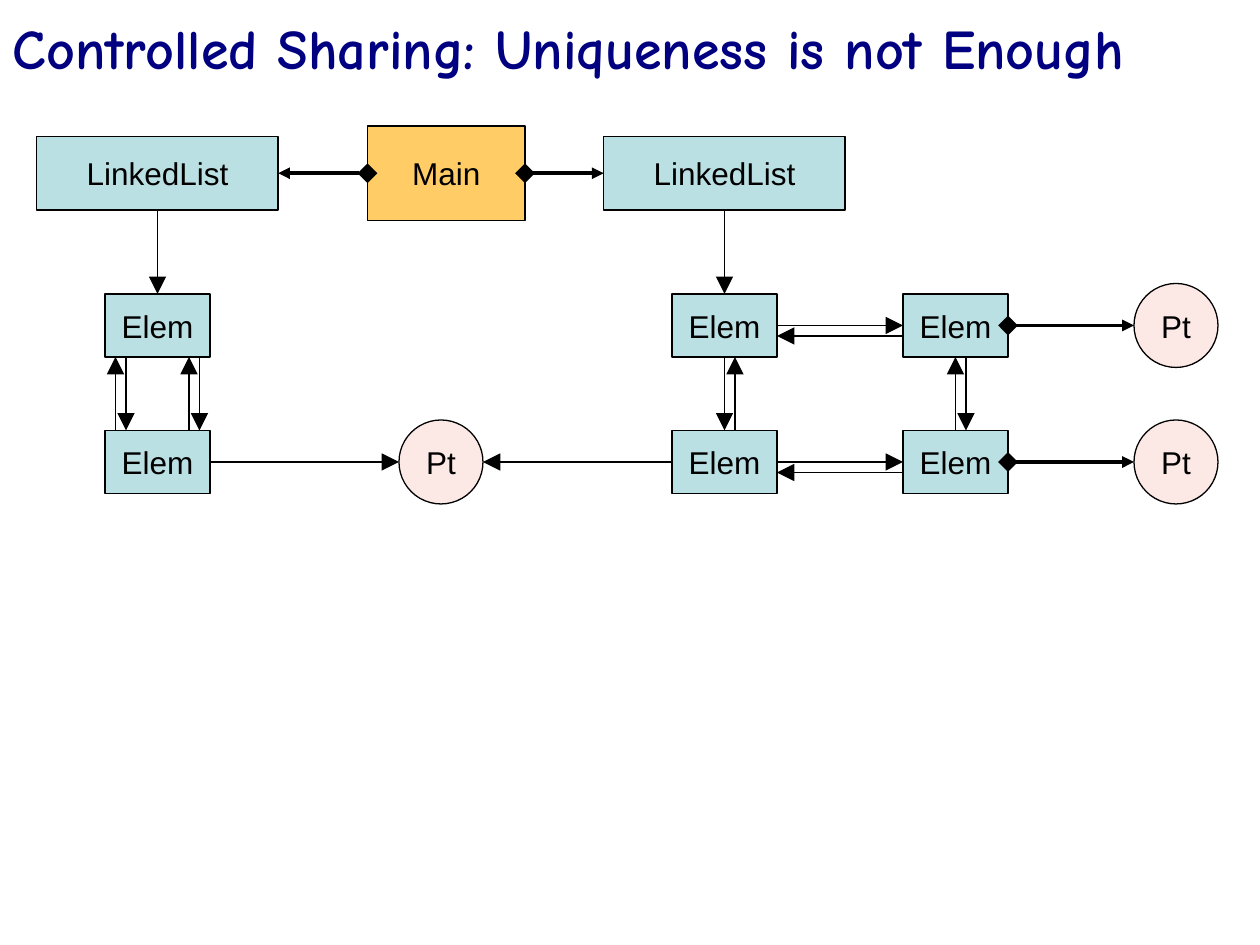
"""Build a slide of object graphs that share a point, on a grid of twelfths of an inch."""
from lxml import etree
from pptx import Presentation
from pptx.dml.color import RGBColor
from pptx.enum.shapes import MSO_CONNECTOR as CONN, MSO_SHAPE as SHAPE
from pptx.enum.text import MSO_ANCHOR as ANCHOR, MSO_AUTO_SIZE as AUTO, PP_ALIGN as ALIGN
from pptx.oxml.ns import qn
from pptx.util import Inches, Pt

COLORS = {"title": "000080", "ink": "000000", "list": "BBE0E3", "main": "FFCC66", "point": "FCE8E4"}
RGB = {name: RGBColor.from_string(value) for name, value in COLORS.items()}
TOP, LEFT, BOTTOM, RIGHT = range(4)
UNIT = Inches(1) // 12

prs = Presentation()
prs.slide_width, prs.slide_height = Inches(10), Inches(7.5)
s = prs.slides.add_slide(prs.slide_layouts[5])

title = s.shapes.title
title.left, title.top, title.width, title.height = Inches(0), Inches(-0.25), Inches(10), Inches(1.25)
tf = title.text_frame
tf.text = "Controlled Sharing: Uniqueness is not Enough"
tf.auto_size, tf.vertical_anchor = AUTO.NONE, ANCHOR.MIDDLE
p = tf.paragraphs[0]
p.alignment = ALIGN.LEFT
p.font.name, p.font.size, p.font.bold = "Comic Neue", Pt(32), True
p.font.color.rgb = RGB["title"]

KINDS = {
    "LinkedList": (SHAPE.RECTANGLE, 23, 7, "list"),
    "Main": (SHAPE.RECTANGLE, 15, 9, "main"),
    "Elem": (SHAPE.RECTANGLE, 10, 6, "list"),
    "Pt": (SHAPE.OVAL, 8, 8, "point"),
}
NODES = {
    "left list": ("LinkedList", 15, 16.5),
    "right list": ("LinkedList", 69, 16.5),
    "main": ("Main", 42.5, 16.5),
    "left upper": ("Elem", 15, 31),
    "left lower": ("Elem", 15, 44),
    "mid upper": ("Elem", 69, 31),
    "mid lower": ("Elem", 69, 44),
    "right upper": ("Elem", 91, 31),
    "right lower": ("Elem", 91, 44),
    "shared point": ("Pt", 42, 44),
    "upper point": ("Pt", 112, 31),
    "lower point": ("Pt", 112, 44),
}
nodes = {}
for name, (label, cx, cy) in NODES.items():
    preset, w, h, color = KINDS[label]
    x, y = int((cx - w / 2) * UNIT), int((cy - h / 2) * UNIT)
    sp = s.shapes.add_shape(preset, x, y, w * UNIT, h * UNIT)
    sp.shadow.inherit = False
    sp.fill.solid()
    sp.fill.fore_color.rgb = RGB[color]
    sp.line.color.rgb, sp.line.width = RGB["ink"], Pt(0.75)
    tf = sp.text_frame
    tf.text = label
    tf.word_wrap, tf.vertical_anchor = False, ANCHOR.MIDDLE
    p = tf.paragraphs[0]
    p.alignment = ALIGN.CENTER
    p.font.name, p.font.size = "Arial", Pt(18)
    p.font.color.rgb = RGB["ink"]
    nodes[name] = sp


def side(sp, site):
    """Return the middle of one side of a shape."""
    x, y = sp.left + sp.width // 2, sp.top + sp.height // 2
    return {TOP: (x, sp.top), LEFT: (sp.left, y),
            BOTTOM: (x, sp.top + sp.height), RIGHT: (sp.left + sp.width, y)}[site]


def arrow(start, end, owned=False):
    """Draw an arrow; an owning one is thick and starts with a diamond."""
    line = s.shapes.add_connector(CONN.STRAIGHT, *start, *end)
    line.line.color.rgb, line.line.width = RGB["ink"], Pt(2.25 if owned else 0.75)
    ln = line.line._get_or_add_ln()
    if owned:
        etree.SubElement(ln, qn("a:headEnd"), type="diamond", w="lg", len="lg")
    size = "med" if owned else "lg"
    etree.SubElement(ln, qn("a:tailEnd"), type="triangle", w=size, len=size)
    etree.SubElement(line._element.spPr, qn("a:effectLst"))
    return line


LINKS = [
    ("main", LEFT, "left list", RIGHT, True),
    ("main", RIGHT, "right list", LEFT, True),
    ("left list", BOTTOM, "left upper", TOP, False),
    ("right list", BOTTOM, "mid upper", TOP, False),
    ("mid upper", BOTTOM, "mid lower", TOP, False),
    ("mid upper", RIGHT, "right upper", LEFT, False),
    ("mid lower", RIGHT, "right lower", LEFT, False),
    ("right lower", TOP, "right upper", BOTTOM, False),
    ("left lower", RIGHT, "shared point", LEFT, False),
    ("mid lower", LEFT, "shared point", RIGHT, False),
    ("right upper", RIGHT, "upper point", LEFT, True),
    ("right lower", RIGHT, "lower point", LEFT, True),
]
for source, out, target, into, owned in LINKS:
    line = arrow(side(nodes[source], out), side(nodes[target], into), owned)
    line.begin_connect(nodes[source], out)
    if nodes[target].auto_shape_type == SHAPE.RECTANGLE:
        line.end_connect(nodes[target], into)

UPPER, LOWER = 34 * UNIT, 41 * UNIT
for x in (12, 19, 92):
    arrow((x * UNIT, UPPER), (x * UNIT, LOWER))
for x in (11, 18, 70):
    arrow((x * UNIT, LOWER), (x * UNIT, UPPER))
for y in (32, 45):
    arrow((86 * UNIT, y * UNIT), (74 * UNIT, y * UNIT))

prs.save("out.pptx")
